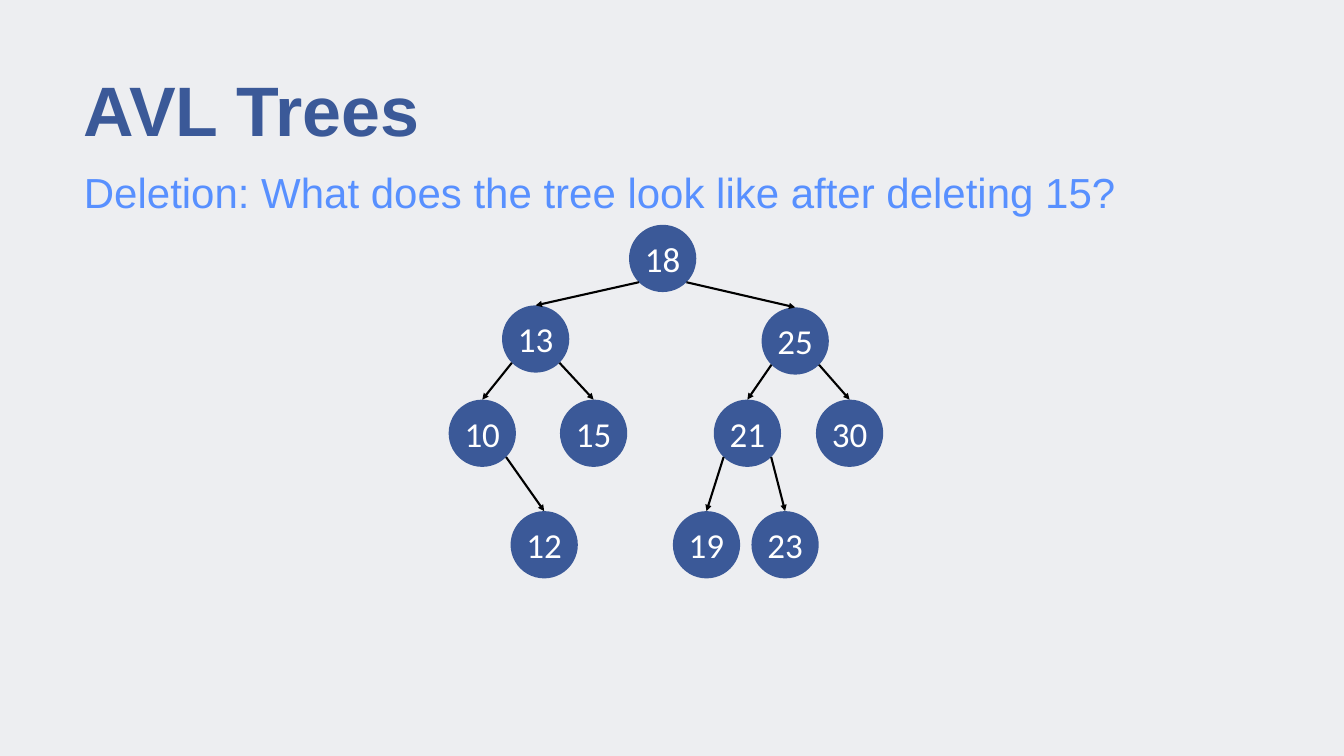
from dataclasses import dataclass
from math import sqrt

from lxml.etree import SubElement
from pptx import Presentation
from pptx.dml.color import RGBColor as Color
from pptx.enum.shapes import MSO_CONNECTOR as Connector, MSO_SHAPE as Shape
from pptx.enum.text import MSO_ANCHOR as Anchor, PP_ALIGN as Align
from pptx.oxml.ns import qn
from pptx.util import Cm, Pt


@dataclass(frozen=True)
class Theme:
    background: str = "EDEEF1"
    primary: str = "3B5998"
    accent: str = "5890FF"
    node_text: str = "FFFFFF"
    edge: str = "000000"
    heading_font: str = "Arial"
    node_font: str = "Calibri"
    title_size: int = 100
    question_size: int = 60
    node_size: int = 50
    edge_width: int = 3


DIAMETER = 3.39
LEVEL_TOPS = (11.33, 15.39, 20.14, 25.76)

# key: (left, top) in centimetres
NODES = {
    18: (31.7, LEVEL_TOPS[0]),
    13: (25.3, LEVEL_TOPS[1]),
    25: (38.38, LEVEL_TOPS[1] + 0.1),
    10: (22.61, LEVEL_TOPS[2]),
    15: (28.22, LEVEL_TOPS[2]),
    21: (35.97, LEVEL_TOPS[2]),
    30: (41.12, LEVEL_TOPS[2]),
    12: (25.73, LEVEL_TOPS[3]),
    19: (33.91, LEVEL_TOPS[3]),
    23: (37.87, LEVEL_TOPS[3]),
}
CHILDREN = {18: (13, 25), 13: (10, 15), 25: (21, 30), 10: (12,), 21: (19, 23)}


def apply(target, values):
    for name, value in values.items():
        setattr(target, name, value)


class TreePage:
    def __init__(self, deck, theme):
        self.theme = theme
        self.page = deck.slides.add_slide(deck.slide_layouts[6])
        fill = self.page.background.fill
        fill.solid()
        fill.fore_color.rgb = Color.from_string(theme.background)

    def set_text(self, box, text, color, align, inset, **font):
        frame = box.text_frame
        margins = ("margin_left", "margin_top", "margin_right", "margin_bottom")
        apply(frame, dict.fromkeys(margins, Cm(inset)))
        apply(frame, {"word_wrap": True, "vertical_anchor": Anchor.MIDDLE})
        para = frame.paragraphs[0]
        para.alignment = align
        span = para.add_run()
        span.text = text
        apply(span.font, font)
        span.font.color.rgb = Color.from_string(color)

    def heading(self, text, top, height, color, size, bold=False):
        box = self.page.shapes.add_textbox(Cm(4.23), Cm(top), Cm(59.27), Cm(height))
        self.set_text(box, text, color, Align.LEFT, 0,
                      name=self.theme.heading_font, size=Pt(size), bold=bold)

    def node(self, key):
        left, top = NODES[key]
        circle = self.page.shapes.add_shape(
            Shape.OVAL, Cm(left), Cm(top), Cm(DIAMETER), Cm(DIAMETER))
        circle.shadow.inherit = False
        circle.fill.solid()
        circle.fill.fore_color.rgb = Color.from_string(self.theme.primary)
        circle.line.fill.background()
        self.set_text(circle, str(key), self.theme.node_text, Align.CENTER, 0.2,
                      name=self.theme.node_font, size=Pt(self.theme.node_size))

    def edge(self, parent, child):
        """Arrow from the parent's lower diagonal point to the child's top."""
        radius = DIAMETER / 2
        diagonal = radius / sqrt(2)
        (left, top), (child_left, child_top) = NODES[parent], NODES[child]
        side = 1 if child_left > left else -1
        line = self.page.shapes.add_connector(
            Connector.STRAIGHT,
            Cm(left + radius + side * diagonal), Cm(top + radius + diagonal),
            Cm(child_left + radius), Cm(child_top))
        line.line.width = Pt(self.theme.edge_width)
        line.line.color.rgb = Color.from_string(self.theme.edge)
        properties = line.element.spPr
        SubElement(properties.find(qn("a:ln")), qn("a:tailEnd"), type="triangle")
        SubElement(properties, qn("a:effectLst"))


def main():
    theme = Theme()
    deck = Presentation()
    apply(deck, {"slide_width": Cm(67.73), "slide_height": Cm(38.1)})
    tree = TreePage(deck, theme)
    tree.heading("AVL Trees", 2.9, 5.1, theme.primary, theme.title_size, bold=True)
    tree.heading("Deletion: What does the tree look like after deleting 15?",
                 8.1, 3.1, theme.accent, theme.question_size)
    for key in NODES:
        tree.node(key)
    for parent, children in CHILDREN.items():
        for child in children:
            tree.edge(parent, child)
    deck.save("out.pptx")


if __name__ == "__main__":
    main()
